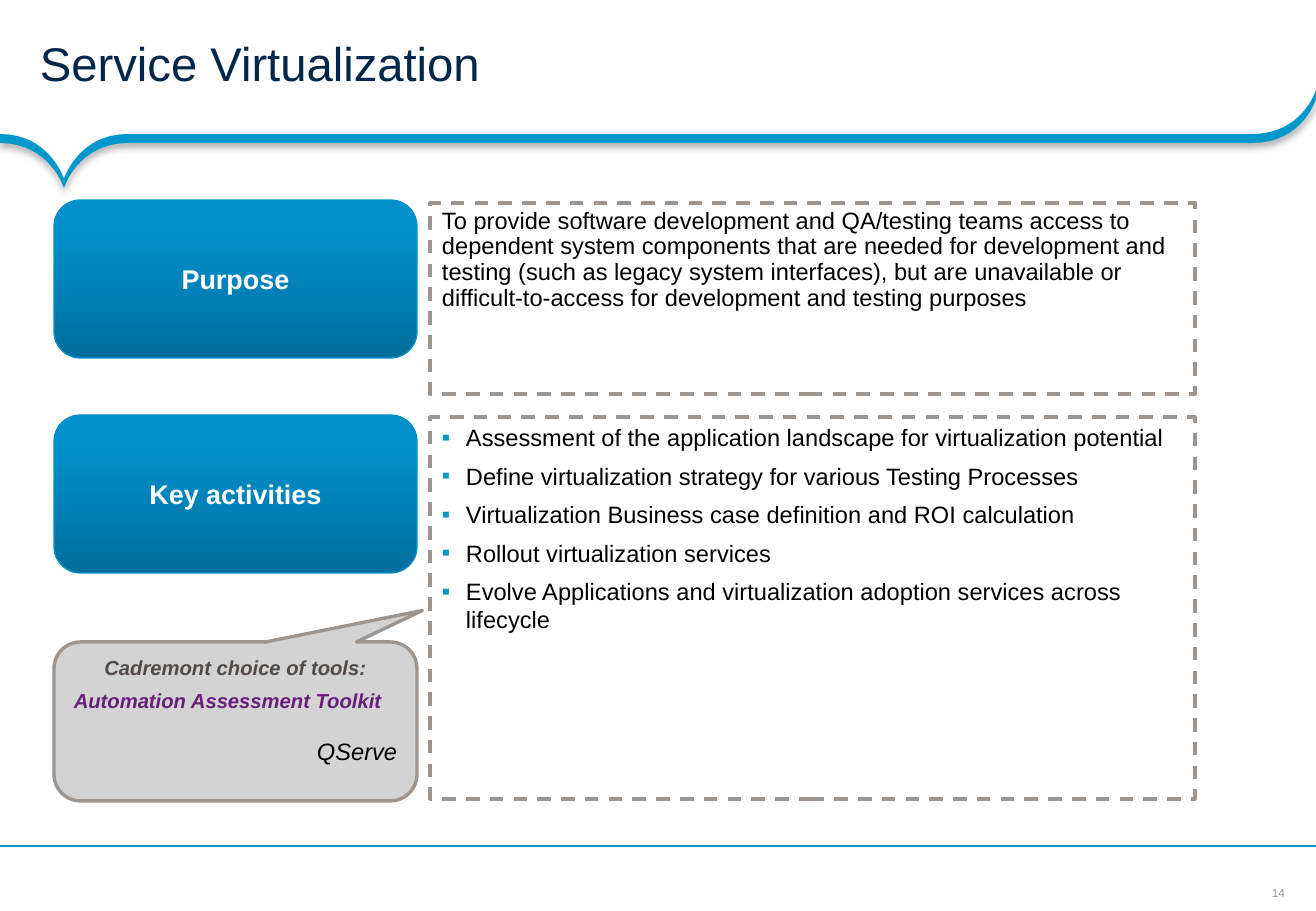
from lxml import etree
from pptx import Presentation
from pptx.dml.color import RGBColor
from pptx.enum.dml import MSO_LINE
from pptx.enum.shapes import MSO_CONNECTOR, MSO_SHAPE
from pptx.enum.text import MSO_ANCHOR, PP_ALIGN
from pptx.oxml.ns import qn
from pptx.util import Emu, Pt

EMU_PER_PX = 7526
STRAIGHT = MSO_CONNECTOR.STRAIGHT
RECTANGLE, ROUNDED = MSO_SHAPE.RECTANGLE, MSO_SHAPE.ROUNDED_RECTANGLE
CALLOUT = MSO_SHAPE.ROUNDED_RECTANGULAR_CALLOUT
TOP, MIDDLE = MSO_ANCHOR.TOP, MSO_ANCHOR.MIDDLE
LEFT, CENTER, RIGHT = PP_ALIGN.LEFT, PP_ALIGN.CENTER, PP_ALIGN.RIGHT
DASH = MSO_LINE.DASH

BLUE, NAVY, GREY = "0098CC", "00264A", "9F958F"
WHITE, BLACK = "FFFFFF", "000000"


def px(length):
    return Emu(round(length * EMU_PER_PX))


def color(value):
    return RGBColor.from_string(value)


def curve(start, control_1, control_2, end, steps=16):
    """Points on a cubic curve, both ends included."""
    points = []
    for step in range(steps + 1):
        t = step / steps
        weights = ((1 - t) ** 3, 3 * t * (1 - t) ** 2, 3 * t * t * (1 - t), t ** 3)
        corners = (start, control_1, control_2, end)
        points.append(tuple(sum(w * corner[axis] for w, corner in zip(weights, corners))
                            for axis in (0, 1)))
    return points


class SlideBuilder:
    font = "Arial"

    def __init__(self, slide):
        self.slide = slide
        self.shapes = slide.shapes

    def paragraph(self, frame, text, size, ink, align=LEFT, bold=False, italic=False,
                  before=0, after=0, line_spacing=None, bullet=None):
        paragraph = frame.paragraphs[0]
        if paragraph.runs:
            paragraph = frame.add_paragraph()
            paragraph.space_before = Pt(before)
        paragraph.alignment = align
        paragraph.space_after = Pt(after)
        if line_spacing:
            paragraph.line_spacing = line_spacing
        if bullet:
            properties = paragraph._p.get_or_add_pPr()
            properties.set("marL", str(px(24)))
            properties.set("indent", str(-px(24)))
            bullet_color = etree.SubElement(properties, qn("a:buClr"))
            etree.SubElement(bullet_color, qn("a:srgbClr")).set("val", BLUE)
            etree.SubElement(properties, qn("a:buFont")).set("typeface", self.font)
            etree.SubElement(properties, qn("a:buChar")).set("char", bullet)
        run = paragraph.add_run()
        run.text = text
        run.font.name, run.font.size = self.font, Pt(size)
        run.font.bold, run.font.italic = bold, italic
        run.font.color.rgb = color(ink)

    def frame(self, shape, anchor, insets, wrap=True):
        frame = shape.text_frame
        frame.word_wrap, frame.vertical_anchor = wrap, anchor
        (frame.margin_left, frame.margin_top,
         frame.margin_right, frame.margin_bottom) = map(px, insets)
        return frame

    def text_box(self, box, insets, wrap=True):
        shape = self.shapes.add_textbox(*map(px, box))
        return self.frame(shape, MIDDLE, insets, wrap)

    def box(self, kind, box, fill, line, width, dash=None, anchor=TOP,
            insets=(12, 6, 12, 6), adjustments=()):
        """A preset shape; a pair of fill colours runs from bottom to top."""
        shape = self.shapes.add_shape(kind, *map(px, box))
        shape.shadow.inherit = False
        for index, value in enumerate(adjustments):
            shape.adjustments[index] = value
        if isinstance(fill, tuple):
            shape.fill.gradient()
            shape.fill.gradient_angle = 90
            for stop, value, position in zip(shape.fill.gradient_stops, fill, (0, 0.8)):
                stop.color.rgb, stop.position = color(value), position
        else:
            shape.fill.solid()
            shape.fill.fore_color.rgb = color(fill)
        shape.line.color.rgb, shape.line.width = color(line), Pt(width)
        if dash:
            shape.line.dash_style = dash
        return self.frame(shape, anchor, insets)

    def ribbon(self, edge, thickness, fill):
        """A band below an edge, with a soft shadow."""
        lower = [(x, y + thickness) for x, y in reversed(edge)]
        outline = [(px(x), px(y)) for x, y in edge + lower]
        builder = self.shapes.build_freeform(*outline[0])
        builder.add_line_segments(outline[1:], close=True)
        shape = builder.convert_to_shape()
        shape.shadow.inherit = False
        shape.fill.solid()
        shape.fill.fore_color.rgb = color(fill)
        shape.line.fill.background()
        effects = shape._element.spPr.find(qn("a:effectLst"))
        shadow = etree.SubElement(effects, qn("a:outerShdw"), blurRad=str(Pt(4)),
                                  dist=str(Pt(2)), dir="5400000", rotWithShape="0")
        shadow_color = etree.SubElement(shadow, qn("a:srgbClr"), val=BLACK)
        etree.SubElement(shadow_color, qn("a:alpha"), val="31000")

    def line(self, start, end, ink, width):
        connector = self.shapes.add_connector(STRAIGHT, *map(px, start + end))
        connector.line.color.rgb, connector.line.width = color(ink), Pt(width)
        etree.SubElement(connector._element.spPr, qn("a:effectLst"))


def main():
    presentation = Presentation()
    presentation.slide_width, presentation.slide_height = px(1316), px(911)
    builder = SlideBuilder(presentation.slides.add_slide(presentation.slide_layouts[6]))

    # Page number, header ribbon and footer rule
    number = builder.text_box((1271, 885, 15, 15), (0, 0, 0, 0), wrap=False)
    builder.paragraph(number, "14", 7, GREY, CENTER)
    edge = (curve((0, 134), (50, 134), (64, 179), (64, 179))
            + curve((64, 179), (64, 179), (78, 134), (128, 134))
            + curve((1252, 134), (1303, 134), (1316, 90), (1316, 90)))
    builder.ribbon(edge, 9, BLUE)
    builder.line((1316, 846), (0, 846), BLUE, 0.75)

    # Tools callout
    tools = builder.box(CALLOUT, (54, 642, 363, 159), "D3D3D3", GREY, 2,
                        adjustments=(0.515, -0.698, 0.167))
    builder.paragraph(tools, "Cadremont choice of tools:", 12, "514A46", CENTER,
                      bold=True, italic=True)
    builder.paragraph(tools, "Automation Assessment Toolkit", 12, "691E7C",
                      bold=True, italic=True, before=5)
    builder.paragraph(tools, "QServe", 14, BLACK, RIGHT, italic=True, before=14.5)

    # Title
    title = builder.text_box((0, 0, 1316, 134), (40, 5, 22, 5))
    builder.paragraph(title, "Service Virtualization", 28, NAVY, line_spacing=0.85)

    # Dashed panels
    purpose, activities = (
        builder.box(RECTANGLE, (430, top, 765, height), WHITE, GREY, 2, DASH)
        for top, height in ((203, 191), (417, 382)))
    builder.paragraph(
        purpose,
        "To provide software development and QA/testing teams access to dependent system "
        "components that are needed for development and testing (such as legacy system "
        "interfaces), but are unavailable or difficult-to-access for development and "
        "testing purposes", 14, BLACK, after=3, line_spacing=0.9)
    for activity in (
            "Assessment of the application landscape for virtualization potential",
            "Define virtualization strategy for various Testing Processes",
            "Virtualization Business case definition and ROI calculation",
            "Rollout virtualization services",
            "Evolve Applications and virtualization adoption services across lifecycle"):
        builder.paragraph(activities, activity, 14, BLACK, before=3, after=3, bullet="▪")

    # Row headings
    for heading, top in (("Purpose", 200), ("Key activities", 415)):
        label = builder.box(ROUNDED, (54, top, 363, 158), ("006F9D", "0090CC"), "0092CE",
                            0.75, anchor=MIDDLE, insets=(24, 24, 24, 24))
        builder.paragraph(label, heading, 16, WHITE, CENTER, bold=True)

    presentation.save("out.pptx")


if __name__ == "__main__":
    main()
